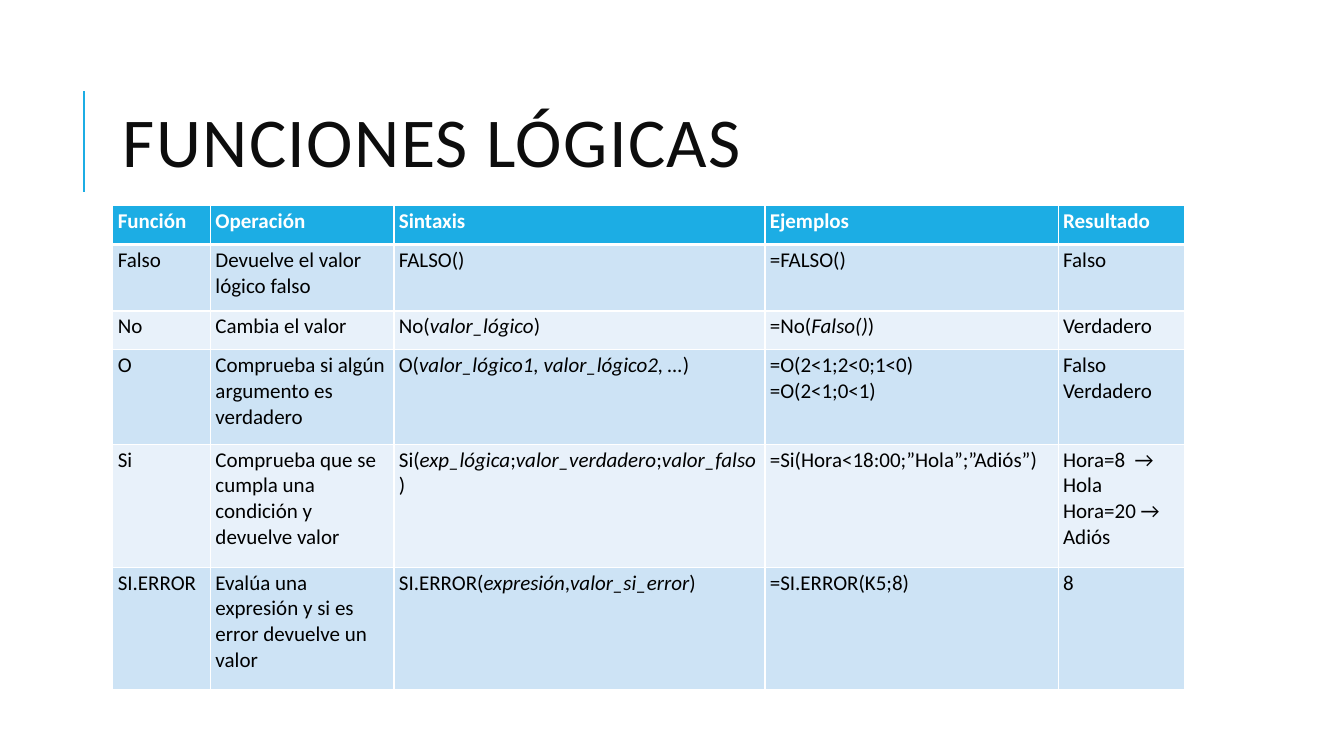
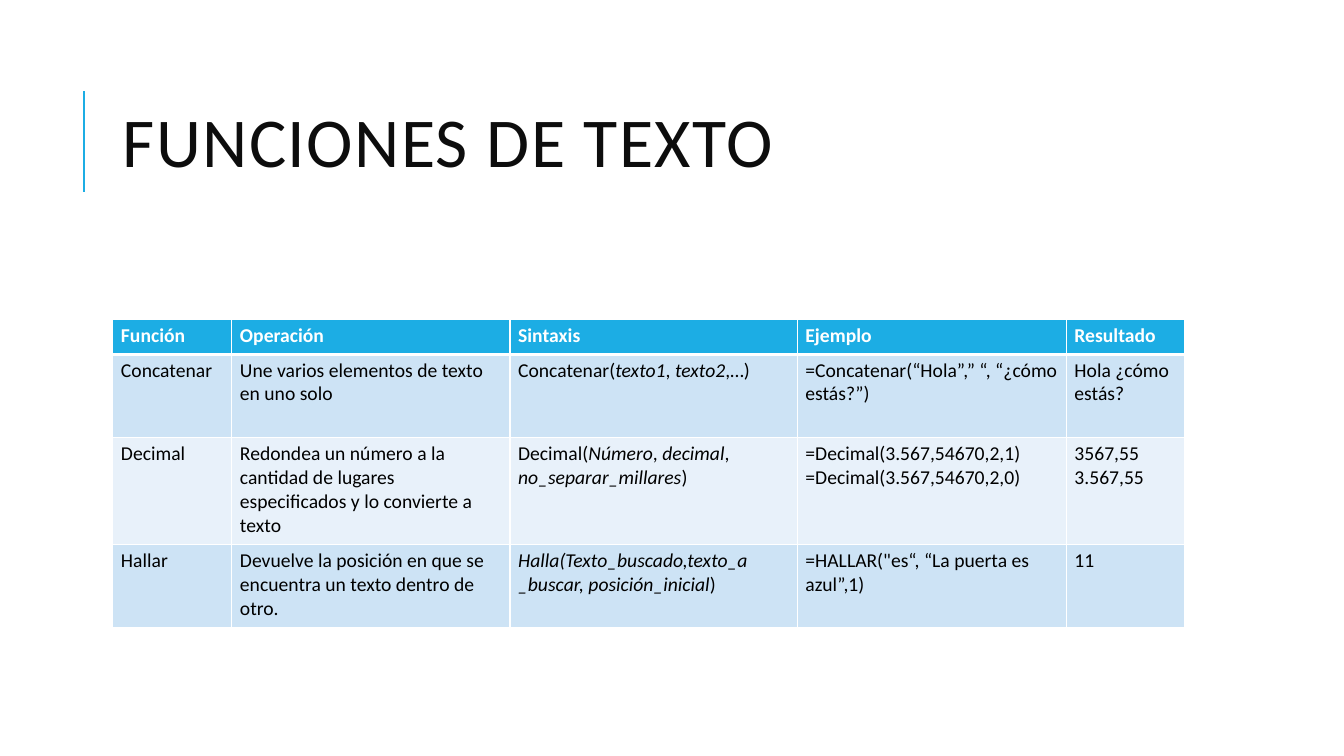
from pptx import Presentation
from pptx.dml.color import RGBColor
from pptx.enum.shapes import MSO_CONNECTOR
from pptx.enum.text import MSO_ANCHOR
from pptx.oxml.ns import qn
from pptx.util import Pt
from lxml.etree import SubElement

COLOURS = {"accent": "1CADE4", "title": "0D0D0D", "text": "000000", "white": "FFFFFF",
           "odd": "CDE3F5", "even": "E8F1FA"}
FONT = "Calibri"
LEFT, WIDTH = 80.64, 765.36


def rgb(name):
    """Return the named colour."""
    return RGBColor.from_string(COLOURS[name])


class Deck:
    """Holds the shared style and the current slide."""

    def __init__(self):
        """Start an empty widescreen presentation."""
        self.prs = Presentation()
        self.prs.slide_width, self.prs.slide_height = Pt(960), Pt(540)
        self.slide = None

    def new_slide(self, title):
        """Add a slide with its accent rule and title."""
        self.slide = self.prs.slides.add_slide(self.prs.slide_layouts[6])
        self.rule(60, 136.8, 64.8)
        self.title(title)

    def rule(self, x, bottom, top):
        """Draw a vertical accent line."""
        rule = self.slide.shapes.add_connector(
            MSO_CONNECTOR.STRAIGHT, Pt(x), Pt(bottom), Pt(x), Pt(top))
        rule.line.color.rgb = rgb("accent")
        rule.line.width = Pt(1.5)
        SubElement(rule._element.spPr, qn("a:effectLst"))

    def title(self, text):
        """Write the slide title."""
        box = self.slide.shapes.add_textbox(Pt(LEFT), Pt(46), Pt(WIDTH), Pt(118))
        frame = box.text_frame
        frame.word_wrap = True
        frame.vertical_anchor = MSO_ANCHOR.MIDDLE
        paragraph = frame.paragraphs[0]
        paragraph.line_spacing = 0.8
        run = self.run(paragraph, text, 50, "title")
        run._r.get_or_add_rPr().set("spc", "100")

    def run(self, paragraph, text, size, colour, bold=False, italic=False):
        """Add one styled run."""
        run = paragraph.add_run()
        run.text = text
        font = run.font
        font.name, font.size, font.bold, font.italic = FONT, Pt(size), bold, italic
        font.color.rgb = rgb(colour)
        return run

    def table(self, top, widths, heights, rows, size, insets):
        """Add a banded table with a header row."""
        table = self.slide.shapes.add_table(
            len(rows), len(widths), Pt(LEFT), Pt(top), Pt(WIDTH), Pt(sum(heights))).table
        table.first_row = table.horz_banding = False
        for column, width in zip(table.columns, widths):
            column.width = Pt(width)
        for row, height in zip(table.rows, heights):
            row.height = Pt(height)
        for r, texts in enumerate(rows):
            for c, text in enumerate(texts):
                self.cell(table.cell(r, c), r, text, size, insets)

    def cell(self, cell, row, text, size, insets):
        """Fill one cell; a line break starts a paragraph, asterisks enclose italics."""
        cell.margin_left = cell.margin_right = Pt(insets[0])
        cell.margin_top = cell.margin_bottom = Pt(insets[1])
        self.borders(cell, top=3 if row == 1 else 1, bottom=3 if row == 0 else 1)
        cell.fill.solid()
        cell.fill.fore_color.rgb = rgb("accent" if row == 0 else "odd" if row % 2 else "even")
        frame = cell.text_frame
        for i, line in enumerate(text.split("\n")):
            paragraph = frame.add_paragraph() if i else frame.paragraphs[0]
            for j, part in enumerate(line.split("*")):
                if part:
                    self.run(paragraph, part, size, "text" if row else "white",
                             bold=row == 0, italic=j % 2 == 1)

    def borders(self, cell, top, bottom):
        """Draw white borders around a cell."""
        properties = cell._tc.get_or_add_tcPr()
        for side, width in (("L", 1), ("R", 1), ("T", top), ("B", bottom)):
            line = SubElement(properties, qn(f"a:ln{side}"), w=str(Pt(width)))
            fill = SubElement(line, qn("a:solidFill"))
            SubElement(fill, qn("a:srgbClr"), val=COLOURS["white"])


LOGIC = [
    ("Función", "Operación", "Sintaxis", "Ejemplos", "Resultado"),
    ("Falso", "Devuelve el valor lógico falso", "FALSO()", "=FALSO()", "Falso"),
    ("No", "Cambia el valor", "No(*valor_lógico*)", "=No(*Falso()*)", "Verdadero"),
    ("O", "Comprueba si algún argumento es verdadero",
     "O(*valor_lógico1, valor_lógico2, …*)",
     "=O(2<1;2<0;1<0)\n=O(2<1;0<1)", "Falso\nVerdadero"),
    ("Si", "Comprueba que se cumpla una condición y devuelve valor",
     "Si(*exp_lógica*;*valor_verdadero*;*valor_falso*)",
     "=Si(Hora<18:00;”Hola”;”Adiós”)", "Hora=8  → Hola\nHora=20 → Adiós"),
    ("SI.ERROR", "Evalúa una expresión y si es error devuelve un valor",
     "SI.ERROR(*expresión*,*valor_si_error*)", "=SI.ERROR(K5;8)", "8"),
]

TEXT = [
    ("Función", "Operación", "Sintaxis", "Ejemplo", "Resultado"),
    ("Concatenar", "Une varios elementos de texto en uno solo",
     "Concatenar(*texto1*, *texto2*,…)",
     "=Concatenar(“Hola”,” “, “¿cómo estás?”)", "Hola ¿cómo estás?"),
    ("Decimal",
     "Redondea un número a la cantidad de lugares especificados y lo convierte a texto",
     "Decimal(*Número*, *decimal*, *no_separar_millares*)",
     "=Decimal(3.567,54670,2,1)\n=Decimal(3.567,54670,2,0)", "3567,55\n3.567,55"),
    ("Hallar", "Devuelve la posición en que se encuentra un texto dentro de otro.",
     "*Halla(Texto_buscado,texto_a _buscar, posición_inicial*)",
     "=HALLAR(\"es“, “La puerta es azul”,1)", "11"),
]

deck = Deck()
deck.new_slide("FUNCIONES LÓGICAS")
deck.table(146.9, (69.8, 131, 265, 209.5, 90), (27.8, 47.5, 27.8, 67.5, 87.8, 87.5),
           LOGIC, size=15, insets=(3.5, 2))
deck.new_slide("FUNCIONES DE TEXTO")
deck.table(228.2, (85, 198.7, 205.2, 192.2, 84.2), (25, 59.6, 76.3, 59.6),
           TEXT, size=14, insets=(5.8, 2.9))
deck.prs.save("out.pptx")
